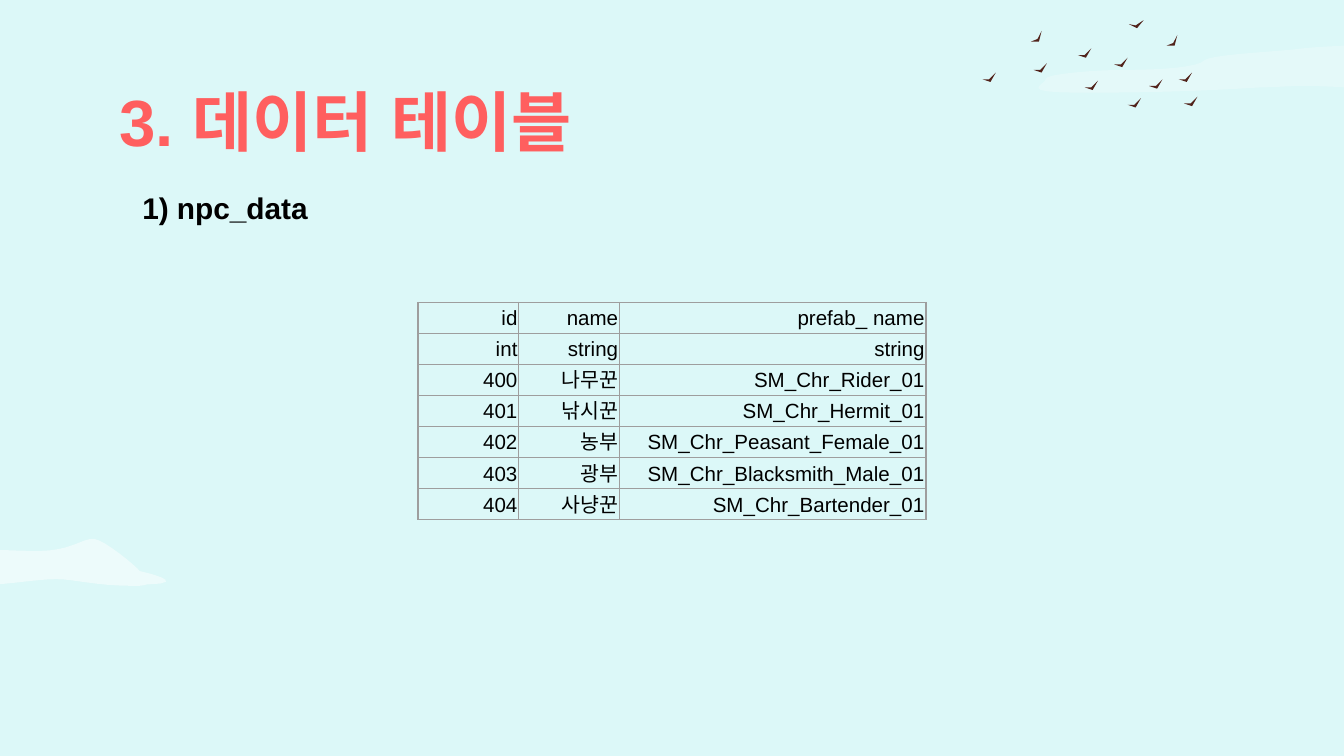
from pptx import Presentation
from pptx.dml.color import RGBColor
from pptx.enum.text import MSO_ANCHOR, MSO_AUTO_SIZE, PP_ALIGN
from pptx.oxml.ns import qn
from pptx.util import Inches, Pt
from lxml.etree import SubElement

COLORS = {"sky": "DCF8F8", "cloud": "FFFFFF", "bird": "51231B",
          "title": "FF5F5F", "text": "000000", "grid": "9E9E9E"}
FONT = "Arial"

# Each cloud: opacity, start point, then Bezier segments (two handles, end)
CLOUDS = [
    (25, (10.71, 0.24), [
        (10.68, 0.24, 10.65, 0.24, 10.63, 0.24), (10.48, 0.28, 10.23, 0.31, 10.09, 0.33),
        (9.94, 0.35, 9.84, 0.34, 9.61, 0.37), (9.39, 0.39, 9, 0.41, 8.96, 0.45),
        (8.92, 0.5, 8.64, 0.52, 8.39, 0.52), (8.15, 0.52, 7.77, 0.55, 7.78, 0.59),
        (7.78, 0.63, 7.55, 0.69, 8.04, 0.69), (8.54, 0.69, 8.91, 0.68, 9.39, 0.65),
        (9.49, 0.65, 9.59, 0.64, 9.68, 0.64), (10, 0.64, 10.23, 0.67, 10.43, 0.69),
        (10.62, 0.7, 10.73, 0.71, 10.9, 0.71), (10.97, 0.71, 11.04, 0.71, 11.12, 0.71),
        (11.43, 0.7, 11.49, 0.63, 11.52, 0.6), (11.54, 0.57, 11.49, 0.43, 11.45, 0.41),
        (11.41, 0.39, 11.27, 0.33, 11.27, 0.33), (11.11, 0.3, 10.87, 0.24, 10.71, 0.24)]),
    (50, (0.69, 4.01), [
        (0.69, 4.01, 0.69, 4.01, 0.7, 4.01), (0.78, 4.02, 1.01, 4.21, 1.04, 4.25),
        (1.04, 4.25, 1.45, 4.34, 1.09, 4.35), (1.06, 4.36, 1.03, 4.36, 1, 4.36),
        (0.7, 4.36, 0.56, 4.31, 0.42, 4.31), (0.27, 4.31, 0.07, 4.35, -0.08, 4.35),
        (-0.1, 4.35, -0.11, 4.35, -0.13, 4.35), (-0.28, 4.34, -0.51, 4.32, -0.66, 4.32),
        (-0.69, 4.32, -0.73, 4.32, -0.76, 4.32), (-0.88, 4.32, -1.02, 4.33, -1.15, 4.36),
        (-1.21, 4.37, -1.25, 4.38, -1.3, 4.38), (-1.38, 4.38, -1.47, 4.36, -1.66, 4.36),
        (-1.94, 4.36, -1.98, 4.28, -1.88, 4.25), (-1.81, 4.22, -1.41, 4.2, -1.14, 4.2),
        (-1.05, 4.2, -0.97, 4.21, -0.94, 4.21), (-0.92, 4.21, -0.91, 4.21, -0.9, 4.21),
        (-0.79, 4.21, -0.7, 4.12, -0.43, 4.1), (-0.33, 4.09, -0.25, 4.09, -0.17, 4.09),
        (-0.01, 4.09, 0.13, 4.1, 0.29, 4.1), (0.52, 4.1, 0.61, 4.01, 0.69, 4.01)]),
]

# Bird outlines, as offsets from the wing tip
GLIDE = [(0, 0), (-0.05, 0.05), (-0.1, 0.05), (-0.04, 0.07)]
CLIMB = [(0, 0), (-0.03, 0.06), (-0.08, 0.08), (-0.02, 0.08)]
LEVEL = [(0, 0), (-0.06, 0.04), (-0.11, 0.03), (-0.05, 0.06)]
FLOCK = [
    (GLIDE, [(8.91, 0.72), (8.87, 0.54), (8.49, 0.73), (7.79, 0.47), (8.39, 0.43),
             (7.41, 0.54), (8.17, 0.6), (8.12, 0.36), (8.65, 0.59)]),
    (CLIMB, [(8.76, 0.26), (7.75, 0.23)]),
    (LEVEL, [(8.51, 0.15)]),
]

ROWS = [
    ("id", "name", "prefab_ name"),
    ("int", "string", "string"),
    ("400", "나무꾼", "SM_Chr_Rider_01"),
    ("401", "낚시꾼", "SM_Chr_Hermit_01"),
    ("402", "농부", "SM_Chr_Peasant_Female_01"),
    ("403", "광부", "SM_Chr_Blacksmith_Male_01"),
    ("404", "사냥꾼", "SM_Chr_Bartender_01"),
]


def rgb(name):
    return RGBColor.from_string(COLORS[name])


def trace(start, curves, steps=8):
    """Turn Bezier segments into a list of points."""
    points = [start]
    for ax, ay, bx, by, x, y in curves:
        px, py = points[-1]
        for step in range(1, steps + 1):
            t = step / steps
            u = 1 - t
            w = (u ** 3, 3 * u * u * t, 3 * u * t * t, t ** 3)
            points.append((w[0] * px + w[1] * ax + w[2] * bx + w[3] * x,
                           w[0] * py + w[1] * ay + w[2] * by + w[3] * y))
    return points


class Deck:
    def __init__(self, slide):
        self.slide = slide
        self.shapes = slide.shapes
        fill = slide.background.fill
        fill.solid()
        fill.fore_color.rgb = rgb("sky")

    def style(self, para, size, color="text", bold=False):
        for run in para.runs:
            run.font.name = FONT
            run.font.size = Pt(size)
            run.font.bold = bold
            run.font.color.rgb = rgb(color)
            for script in ("ea", "cs"):
                SubElement(run._r.get_or_add_rPr(), qn("a:" + script), typeface=FONT)

    def outline(self, points, color, alpha=100):
        first, *rest = [(Inches(x), Inches(y)) for x, y in points]
        pen = self.shapes.build_freeform(*first)
        pen.add_line_segments(rest, close=True)
        shape = pen.convert_to_shape()
        shape.shadow.inherit = False
        shape.line.fill.background()
        shape.fill.solid()
        shape.fill.fore_color.rgb = rgb(color)
        if alpha < 100:
            tint = shape.fill._xPr.find(".//" + qn("a:srgbClr"))
            SubElement(tint, qn("a:alpha"), val=str(alpha * 1000))

    def title(self, text, x, y, w, h):
        shape = self.shapes.title
        shape.left, shape.top, shape.width, shape.height = map(Inches, (x, y, w, h))
        frame = shape.text_frame
        frame.text = text
        frame.auto_size = MSO_AUTO_SIZE.NONE
        frame.vertical_anchor = MSO_ANCHOR.MIDDLE
        frame.margin_left = frame.margin_right = Inches(0.1)
        frame.margin_top = frame.margin_bottom = Inches(0.1)
        para = frame.paragraphs[0]
        para.alignment = PP_ALIGN.LEFT
        self.style(para, 35, "title", True)

    def label(self, text, x, y, w, h):
        frame = self.shapes.add_textbox(*map(Inches, (x, y, w, h))).text_frame
        frame.text = text
        frame.word_wrap = False
        frame.auto_size = MSO_AUTO_SIZE.SHAPE_TO_FIT_TEXT
        para = frame.paragraphs[0]
        para._p.get_or_add_pPr().set("marL", str(Inches(0.17)))
        self.style(para, 16, bold=True)

    def border(self, cell):
        props = cell._tc.get_or_add_tcPr()
        for side in ("lnL", "lnR", "lnT", "lnB"):
            line = SubElement(props, qn("a:" + side), w=str(Pt(0.75)))
            fill = SubElement(line, qn("a:solidFill"))
            SubElement(fill, qn("a:srgbClr"), val=COLORS["grid"])

    def table(self, rows, x, y, widths, height):
        frame = self.shapes.add_table(len(rows), len(widths), Inches(x), Inches(y),
                                      Inches(sum(widths)), Inches(height))
        table = frame.table
        table.first_row = table.horz_banding = False
        for column, width in zip(table.columns, widths):
            column.width = Inches(width)
        for r, row in enumerate(rows):
            for c, text in enumerate(row):
                cell = table.cell(r, c)
                cell.text_frame.text = text
                cell.vertical_anchor = MSO_ANCHOR.MIDDLE
                cell.margin_left = cell.margin_right = cell.margin_top = Inches(0.01)
                cell.margin_bottom = 0
                self.border(cell)
                cell.fill.background()
                para = cell.text_frame.paragraphs[0]
                para.alignment = PP_ALIGN.RIGHT
                self.style(para, 11)


def main():
    prs = Presentation()
    prs.slide_width = Inches(10)
    prs.slide_height = prs.slide_width * 9 // 16
    deck = Deck(prs.slides.add_slide(prs.slide_layouts[5]))
    for alpha, start, curves in CLOUDS:
        deck.outline(trace(start, curves), "cloud", alpha)
    for form, tips in FLOCK:
        for x, y in tips:
            deck.outline([(x + dx, y + dy) for dx, dy in form], "bird")
    deck.title("3. 데이터 테이블", 0.79, 0.58, 8.41, 0.63)
    deck.table(ROWS, 3.11, 2.25, (0.75, 0.75, 2.28), 1.62)
    deck.label("1) npc_data", 0.79, 1.36, 1.61, 0.37)
    prs.save("out.pptx")


if __name__ == "__main__":
    main()
